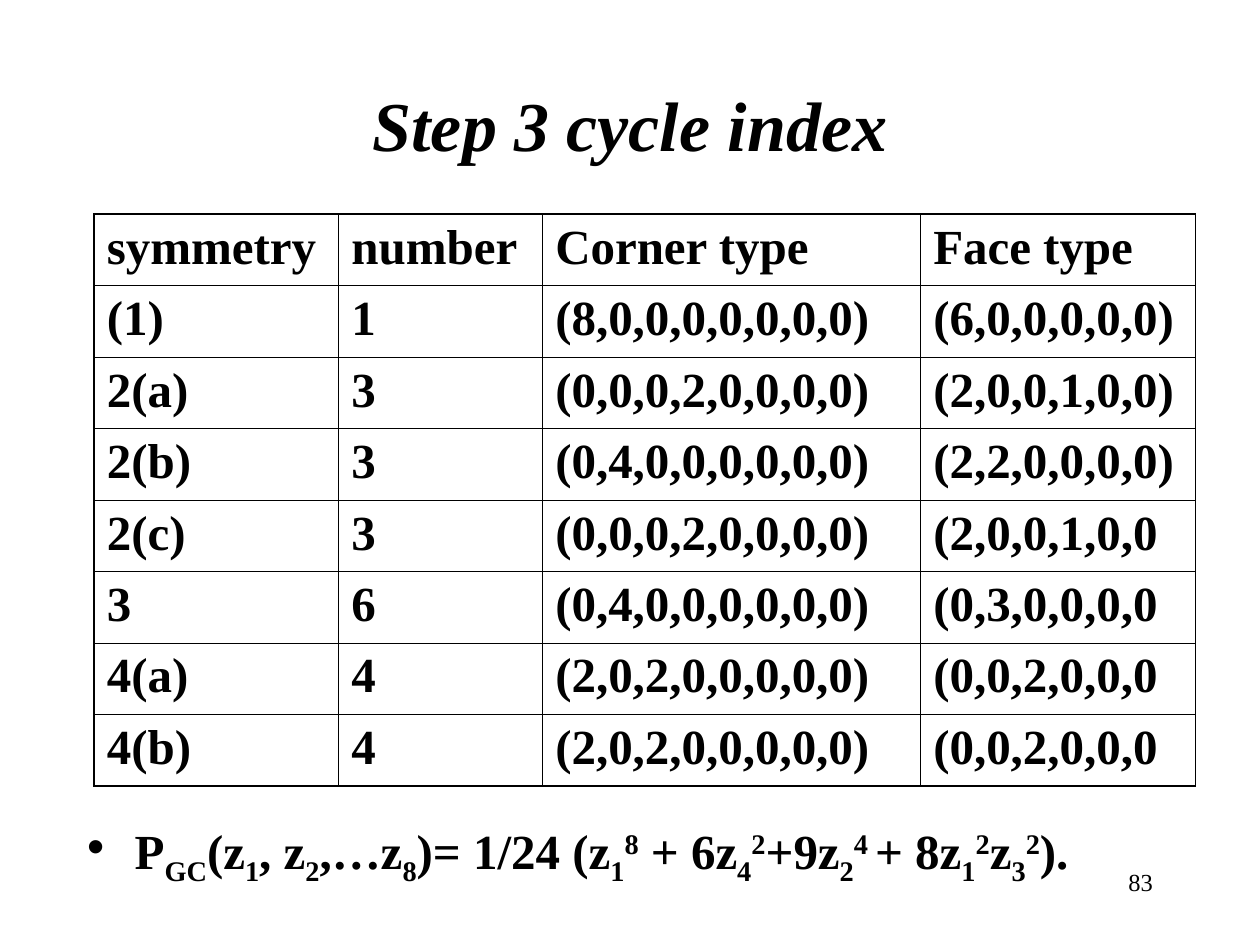
import pptx
import pptx.util
import pptx.dml.color
import pptx.enum.text
import pptx.oxml
import pptx.oxml.ns
from pptx.util import Cm

BLACK = "000000"


def color(hex_value):
    return pptx.dml.color.RGBColor.from_string(hex_value)


def style(paragraph, size, bold=False, italic=False):
    font = paragraph.font
    font.name = "Times New Roman"
    font.size = pptx.util.Pt(size)
    font.bold = bold
    font.italic = italic
    font.color.rgb = color(BLACK)


presentation = pptx.Presentation()
presentation.slide_width = Cm(25.4)
presentation.slide_height = Cm(19.05)
slide = presentation.slides.add_slide(presentation.slide_layouts[1])

title = slide.shapes.title
title.left, title.top, title.width, title.height = Cm(1.9), Cm(0.91), Cm(21.6), Cm(3.18)
title.text_frame.text = "Step 3 cycle index"
title.text_frame.vertical_anchor = pptx.enum.text.MSO_ANCHOR.MIDDLE
paragraph = title.text_frame.paragraphs[0]
paragraph.alignment = pptx.enum.text.PP_ALIGN.CENTER
style(paragraph, 40, bold=True, italic=True)

body = slide.placeholders[1]
body.left, body.top, body.width, body.height = Cm(1.5), Cm(16.54), Cm(21.8), Cm(1.6)
body.text_frame.auto_size = pptx.enum.text.MSO_AUTO_SIZE.NONE
paragraph = body.text_frame.paragraphs[0]
paragraph.line_spacing = 0.8
paragraph.space_before = pptx.util.Pt(0)
properties = paragraph._p.get_or_add_pPr()
properties.set("marL", str(Cm(0.96)))
properties.set("indent", str(-Cm(0.96)))
bullet = pptx.oxml.parse_xml(
    f'<a:buChar {pptx.oxml.ns.nsdecls("a")} char="•"/>')
properties.append(bullet)
style(paragraph, 28, bold=True)

SUBSCRIPT, NORMAL, SUPERSCRIPT = -25000, 0, 30000
formula = [
    ("P", NORMAL), ("GC", SUBSCRIPT), ("(z", NORMAL), ("1", SUBSCRIPT),
    (", z", NORMAL), ("2", SUBSCRIPT), (",…z", NORMAL), ("8", SUBSCRIPT),
    (")= 1/24 (z", NORMAL), ("1", SUBSCRIPT), ("8", SUPERSCRIPT),
    (" + 6z", NORMAL), ("4", SUBSCRIPT), ("2", SUPERSCRIPT),
    ("+9z", NORMAL), ("2", SUBSCRIPT), ("4 ", SUPERSCRIPT),
    ("+ 8z", NORMAL), ("1", SUBSCRIPT), ("2", SUPERSCRIPT),
    ("z", NORMAL), ("3", SUBSCRIPT), ("2", SUPERSCRIPT), (").", NORMAL),
]
for text, baseline in formula:
    run = paragraph.add_run()
    run.text = text
    if baseline != NORMAL:
        run._r.get_or_add_rPr().set("baseline", str(baseline))

rows = [
    ("symmetry", "number", "Corner type", "Face type"),
    ("(1)", "1", "(8,0,0,0,0,0,0,0)", "(6,0,0,0,0,0)"),
    ("2(a)", "3", "(0,0,0,2,0,0,0,0)", "(2,0,0,1,0,0)"),
    ("2(b)", "3", "(0,4,0,0,0,0,0,0)", "(2,2,0,0,0,0)"),
    ("2(c)", "3", "(0,0,0,2,0,0,0,0)", "(2,0,0,1,0,0"),
    ("3", "6", "(0,4,0,0,0,0,0,0)", "(0,3,0,0,0,0"),
    ("4(a)", "4", "(2,0,2,0,0,0,0,0)", "(0,0,2,0,0,0"),
    ("4(b)", "4", "(2,0,2,0,0,0,0,0)", "(0,0,2,0,0,0"),
]
column_widths = [4.93, 4.11, 7.62, 5.54]
row_height = 1.44
table = slide.shapes.add_table(
    len(rows), len(column_widths), Cm(1.9), Cm(4.32),
    Cm(sum(column_widths)), Cm(row_height * len(rows))).table
table.first_row = False
table.horz_banding = False
for column, width in zip(table.columns, column_widths):
    column.width = Cm(width)

last_row, last_column = len(rows) - 1, len(column_widths) - 1
for row_index, row in enumerate(rows):
    table.rows[row_index].height = Cm(row_height)
    for column_index, text in enumerate(row):
        cell = table.cell(row_index, column_index)
        cell.text = text
        style(cell.text_frame.paragraphs[0], 28, bold=True)
        cell.fill.background()
        outer_edges = {
            "lnL": column_index == 0, "lnR": column_index == last_column,
            "lnT": row_index == 0, "lnB": row_index == last_row,
        }
        for position, (tag, is_outer) in enumerate(outer_edges.items()):
            line_width = pptx.util.Pt(1.08 if is_outer else 0.45)
            border = pptx.oxml.parse_xml(
                f'<a:{tag} {pptx.oxml.ns.nsdecls("a")} w="{line_width}">'
                f'<a:solidFill><a:srgbClr val="{BLACK}"/></a:solidFill></a:{tag}>')
            cell._tc.get_or_add_tcPr().insert(position, border)

page_number = slide.shapes.add_textbox(Cm(18.2), Cm(17.35), Cm(5.29), Cm(1.27))
page_number.text_frame.word_wrap = True
page_number.text_frame.text = "83"
paragraph = page_number.text_frame.paragraphs[0]
paragraph.alignment = pptx.enum.text.PP_ALIGN.RIGHT
style(paragraph, 14)

presentation.save("out.pptx")
